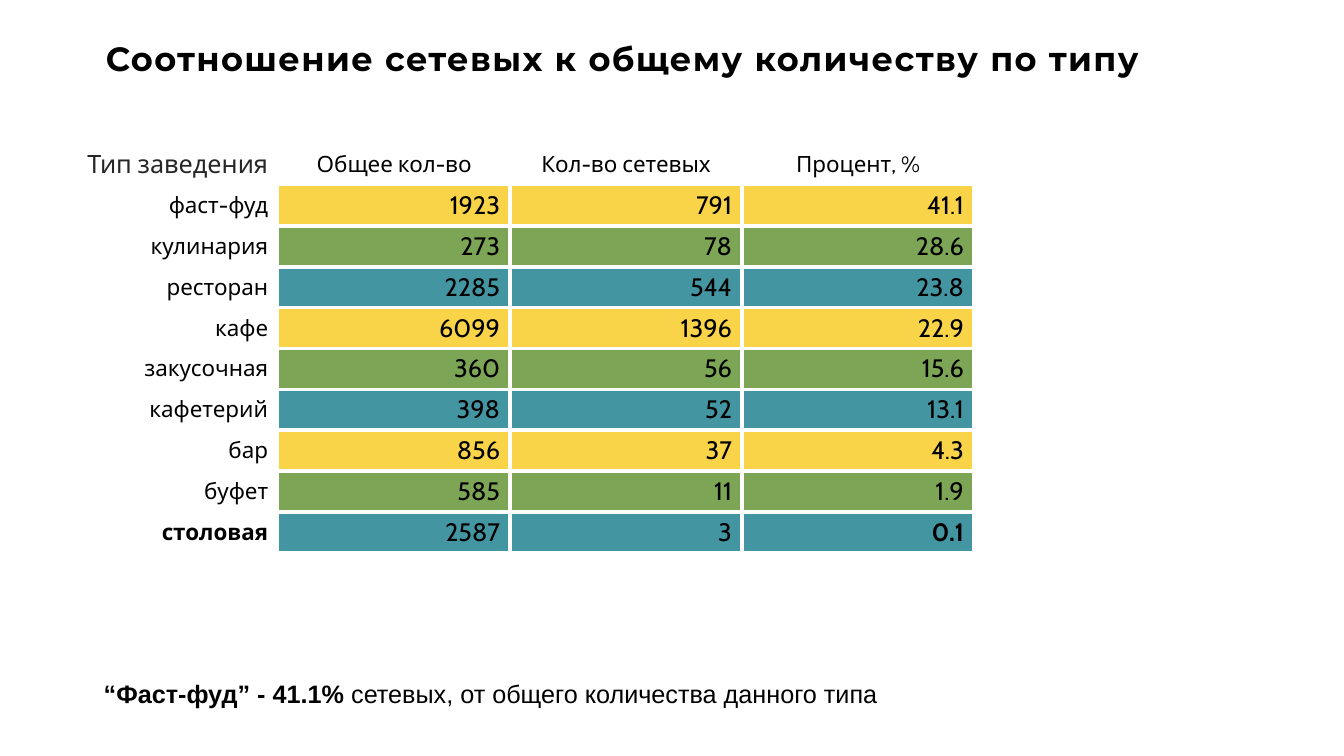
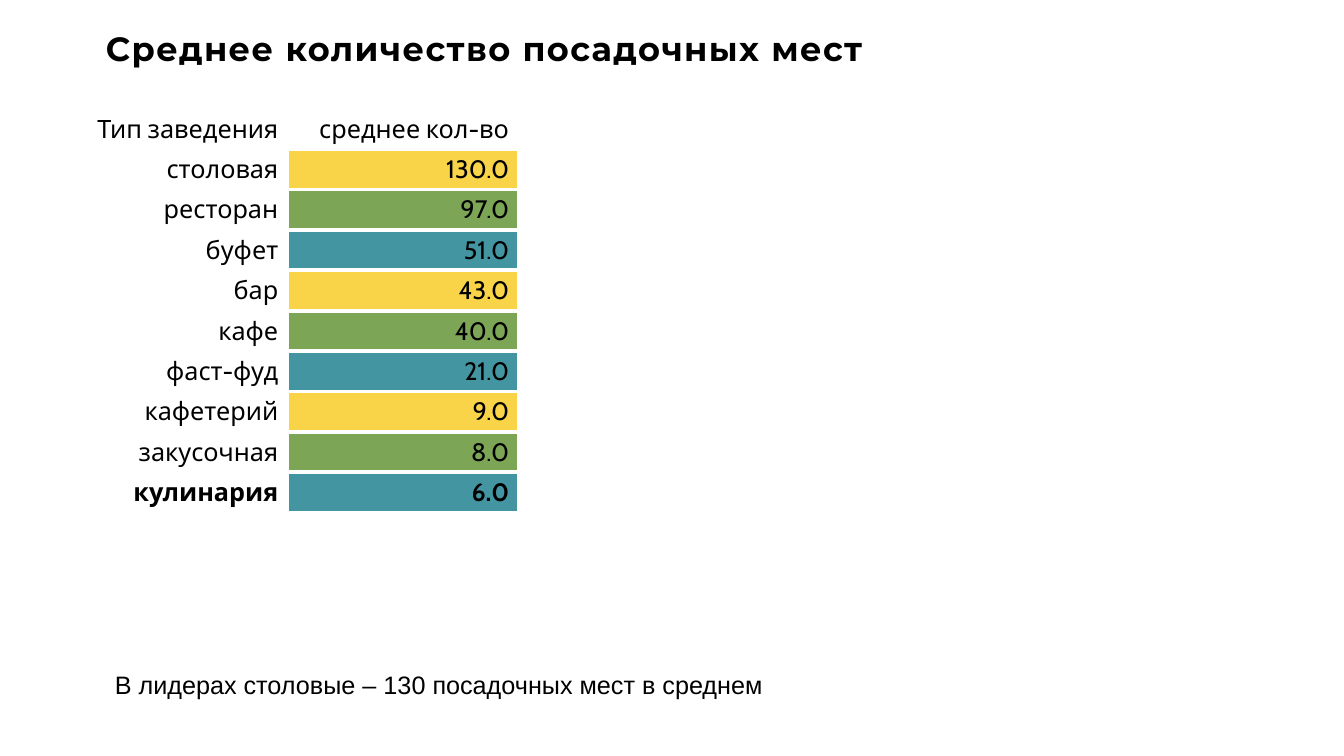
from lxml import etree
from pptx import Presentation
from pptx import util as u
from pptx.dml.color import RGBColor
from pptx.enum import text
from pptx.oxml import ns

BLACK, WHITE, GREY = "000000", "FFFFFF", "262626"
BANDS = ["F9D448", "7CA655", "4495A2"]
LEFT, MID, RIGHT = text.PP_ALIGN.LEFT, text.PP_ALIGN.CENTER, text.PP_ALIGN.RIGHT


def rgb(code):
    return RGBColor.from_string(code)


class Deck:
    def __init__(self):
        self.file = Presentation()
        self.file.slide_width = u.Inches(13.33)
        self.file.slide_height = u.Inches(7.5)
        self.slide = None

    def page(self):
        self.slide = self.file.slides.add_slide(self.file.slide_layouts[6])

    def style(self, para, face, size, bold=False, color=BLACK, align=LEFT):
        para.alignment = align
        font = para.font
        font.name, font.size, font.bold = face, u.Pt(size), bold
        font.color.rgb = rgb(color)

    def box(self, left, top, width, height):
        area = [u.Inches(n) for n in (left, top, width, height)]
        frame = self.slide.shapes.add_textbox(*area).text_frame
        frame.word_wrap = True
        return frame

    def title(self, words, top):
        frame = self.box(1.05, top, 11.24, 0.67)
        frame.margin_left = frame.margin_right = 0
        frame.margin_top = frame.margin_bottom = 0
        para = frame.paragraphs[0]
        self.style(para, "Montserrat", 24, True)
        para.line_spacing = 0.9
        run = para.add_run()
        run.text = words
        run.font._element.set("spc", "100")

    def note(self, left, top, words, lead=""):
        para = self.box(left, top, 10.68, 0.4).paragraphs[0]
        self.style(para, "Arial", 18)
        if lead:
            run = para.add_run()
            run.text = lead
            run.font.bold = True
        para.add_run().text = words

    def edges(self, cell, *widths):
        props = cell._tc.get_or_add_tcPr()
        for side, width in zip("LTRB", widths):
            line = etree.SubElement(props, ns.qn("a:ln" + side), w=str(u.Pt(width)))
            fill = etree.SubElement(line, ns.qn("a:solidFill"))
            etree.SubElement(fill, ns.qn("a:srgbClr"), val=WHITE)

    def cell(self, cell, words, size, align, fill=None, bold=False, color=BLACK):
        cell.text = words
        cell.vertical_anchor = text.MSO_ANCHOR.MIDDLE
        self.style(cell.text_frame.paragraphs[0], "Cabin", size, bold, color, align)
        if fill:
            cell.fill.solid()
            cell.fill.fore_color.rgb = rgb(fill)
        else:
            cell.fill.background()

    def table(self, left, top, width, height, heads, rows, size, align, color=BLACK):
        count, wide = len(rows) + 1, len(heads)
        area = [u.Inches(n) for n in (left, top, width * wide, height * count)]
        grid = self.slide.shapes.add_table(count, wide, *area).table
        grid.first_row = grid.horz_banding = False
        for col, head in enumerate(heads):
            cell = grid.cell(0, col)
            self.edges(cell, 1, 1, 1, 2.25)
            if col == 0:
                self.cell(cell, head, 18, RIGHT, color=color)
            else:
                self.cell(cell, head, size, align)
        for row, items in enumerate(rows, 1):
            roof = 2.25 if row == 1 else 3
            for col, item in enumerate(items):
                cell = grid.cell(row, col)
                bold = row == len(rows) and col in (0, wide - 1)
                if col == 0:
                    self.edges(cell, 1, 1, 1, 1)
                    self.cell(cell, item, size, RIGHT, bold=bold)
                else:
                    self.edges(cell, 1 if col == 1 else 3, roof, 3, 3)
                    fill = BANDS[(row - 1) % len(BANDS)]
                    self.cell(cell, item, 18, RIGHT, fill, bold)


SHARES = [
    ("фаст-фуд", "1923", "791", "41.1"),
    ("кулинария", "273", "78", "28.6"),
    ("ресторан", "2285", "544", "23.8"),
    ("кафе", "6099", "1396", "22.9"),
    ("закусочная", "360", "56", "15.6"),
    ("кафетерий", "398", "52", "13.1"),
    ("бар", "856", "37", "4.3"),
    ("буфет", "585", "11", "1.9"),
    ("столовая", "2587", "3", "0.1"),
]
SEATS = [
    ("столовая", "130.0"),
    ("ресторан", "97.0"),
    ("буфет", "51.0"),
    ("бар", "43.0"),
    ("кафе", "40.0"),
    ("фаст-фуд", "21.0"),
    ("кафетерий", "9.0"),
    ("закусочная", "8.0"),
    ("кулинария", "6.0"),
]


def main():
    deck = Deck()

    deck.page()
    heads = ["Тип заведения", "Общее кол-во", "Кол-во сетевых", "Процент, %"]
    deck.table(0.46, 1.43, 2.3, 0.4, heads, SHARES, 16, MID, GREY)
    deck.note(0.93, 6.68, "сетевых, от общего количества данного типа",
              "“Фаст-фуд” - 41.1% ")
    deck.title("Соотношение сетевых к общему количеству по типу", 0.42)

    deck.page()
    deck.note(1.04, 6.59, "В лидерах столовые – 130 посадочных мест в среднем")
    deck.title("Среднее количество посадочных мест", 0.32)
    heads = ["Тип заведения", "среднее кол-во"]
    deck.table(0.57, 1.08, 2.29, 0.4, heads, SEATS, 18, RIGHT)

    deck.file.save("out.pptx")


if __name__ == "__main__":
    main()
